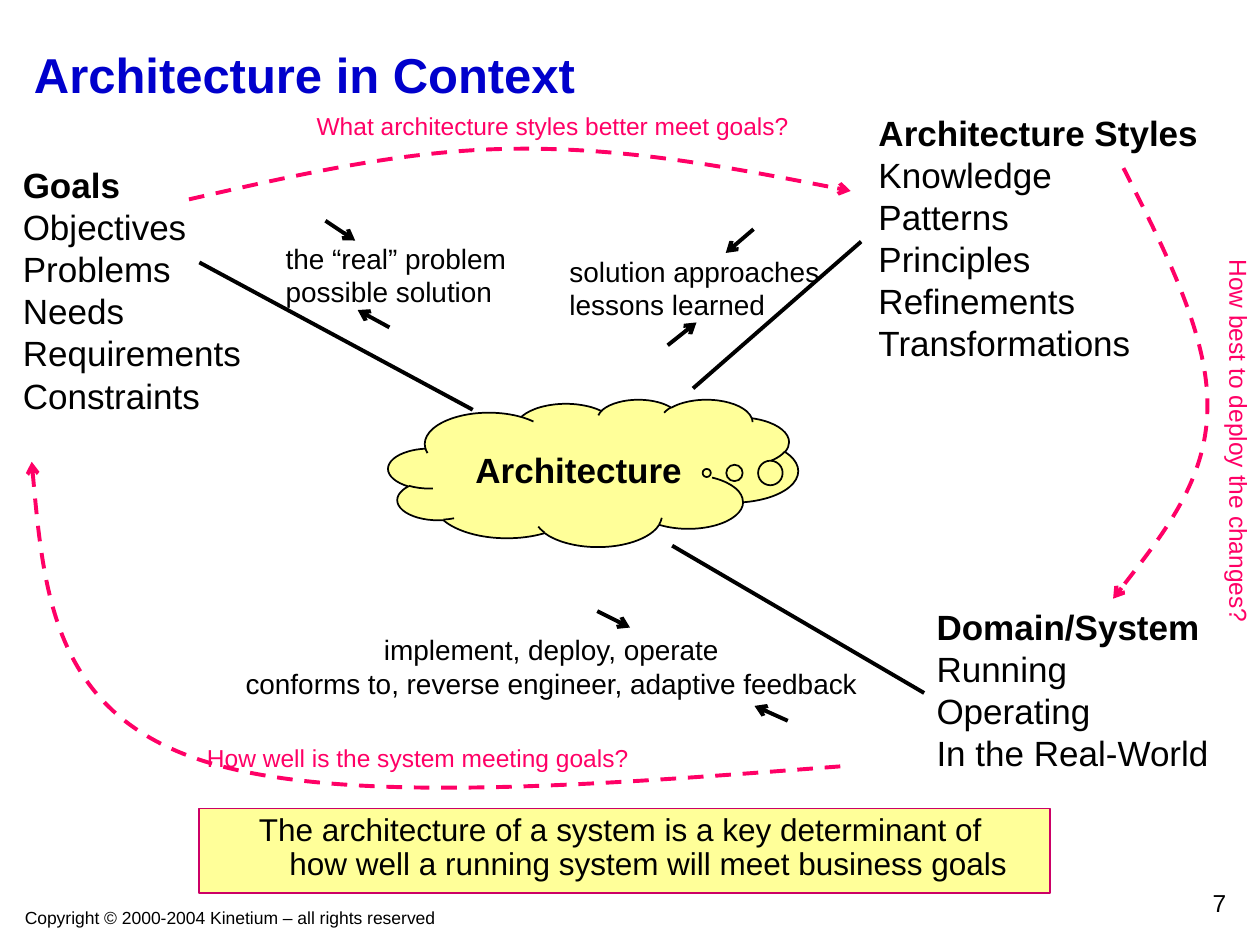
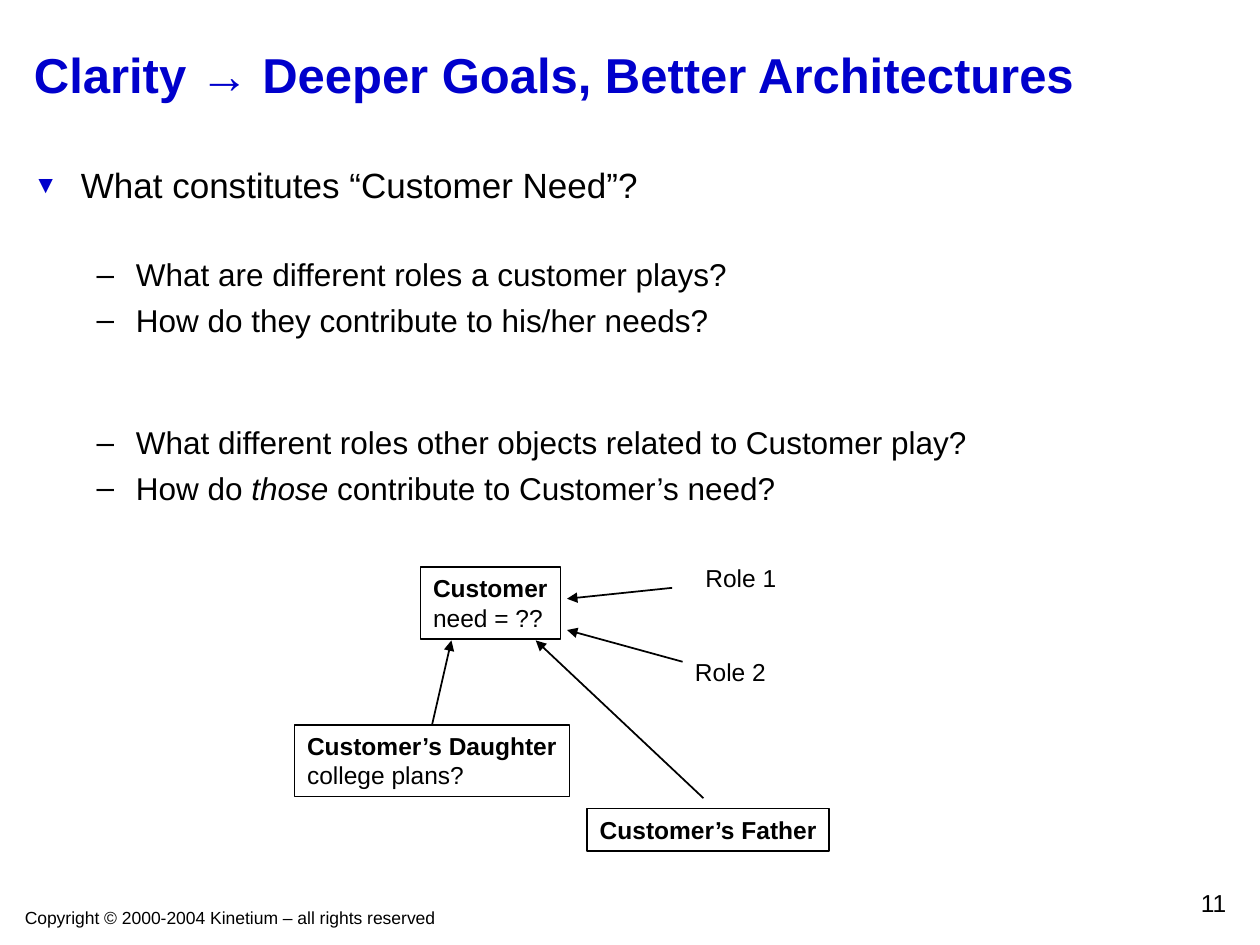
from dataclasses import dataclass
from typing import Optional

from lxml.etree import SubElement
from pptx import Presentation
from pptx.dml.color import RGBColor
from pptx.enum.dml import MSO_LINE_DASH_STYLE as Dash
from pptx.enum.shapes import MSO_CONNECTOR as ConnectorType, MSO_SHAPE as ShapeType
from pptx.enum.text import MSO_ANCHOR as Anchor, MSO_AUTO_SIZE as AutoSize, PP_ALIGN as Align
from pptx.oxml.ns import qn
from pptx.util import Cm, Pt

FONT = "Arial"
COLORS = {
    "title": "0000CC",
    "text": "000000",
    "question": "FF0066",
    "highlight": "FFFF99",
    "banner_edge": "CC0066",
}
COPYRIGHT = "Copyright © 2000-2004 Kinetium – all rights reserved"
TITLE_ONLY = 5

Point = tuple[float, float]


@dataclass(frozen=True)
class Box:
    left: float
    top: float
    width: float
    height: float

    def lengths(self) -> tuple:
        return Cm(self.left), Cm(self.top), Cm(self.width), Cm(self.height)


@dataclass(frozen=True)
class Label:
    lines: tuple[str, ...]
    box: Box
    size: float = 14
    bold_first: bool = False
    align: Align = Align.LEFT
    color: str = "text"
    rotation: float = 0
    framed: bool = False


@dataclass(frozen=True)
class Line:
    start: Point
    end: Point
    width: float = 2.25
    head: Optional[str] = None


@dataclass(frozen=True)
class Bullet:
    text: str
    level: int = 1
    space: float = 4.5
    italic: str = ""


@dataclass(frozen=True)
class BulletStyle:
    char: str
    color: str
    percent: int
    margin: float
    hanging: float
    size: float


BULLET_STYLES = (
    BulletStyle("▼", "title", 70, 0.95, 0.95, 20),
    BulletStyle("–", "text", 100, 2.06, 0.79, 18),
)

TITLE_BOX = Box(0.43, 0.43, 24.56, 2.11)
FOOTER_BOX = Box(0.25, 18.16, 13.21, 0.69)
NUMBER_BOX = Box(19.69, 17.78, 5.28, 0.84)
CLOUD_BOX = Box(7.83, 8.05, 8.26, 2.97)
BANNER_BOX = Box(4.02, 16.3, 17.15, 1.7)
BODY_BOX = Box(0.43, 3.18, 24.56, 14.17)

CONTEXT_LABELS = (
    Label(("Goals", "Objectives", "Problems", "Needs", "Requirements", "Constraints"),
          Box(0.21, 3.18, 4.95, 5.33), 20, bold_first=True),
    Label(("Architecture Styles", "Knowledge", "Patterns", "Principles", "Refinements",
           "Transformations"), Box(17.46, 2.12, 7.02, 5.33), 20, bold_first=True),
    Label(("Domain/System", "Running", "Operating", "In the Real-World"),
          Box(18.63, 12.08, 6.05, 3.66), 20, bold_first=True),
    Label(("the “real” problem", "possible solution"), Box(5.51, 4.74, 5, 1.63), 16),
    Label(("solution approaches", "lessons learned"), Box(11.23, 5, 5.6, 1.63), 16),
    Label(("implement, deploy, operate", "conforms to, reverse engineer, adaptive feedback"),
          Box(4.66, 12.63, 12.91, 1.63), 16, align=Align.CENTER),
    Label(("How well is the system meeting goals?",), Box(3.89, 14.86, 9.07, 0.86),
          align=Align.CENTER, color="question"),
    Label(("What architecture styles better meet goals?",), Box(6.1, 2.11, 10.09, 0.86),
          align=Align.CENTER, color="question"),
    Label(("How best to deploy the changes?",), Box(21.01, 8.46, 7.92, 0.86),
          align=Align.CENTER, color="question", rotation=90),
)

CONTEXT_LINES = (
    Line((4.02, 5.29), (9.53, 8.26)),
    Line((17.36, 4.87), (13.97, 7.83)),
    Line((13.55, 11), (18.63, 13.97)),
    Line((6.56, 4.45), (7.16, 4.85), head="arrow"),
    Line((7.85, 6.6), (7.21, 6.25), head="arrow"),
    Line((15.19, 4.62), (14.63, 5.1), head="arrow"),
    Line((13.46, 6.96), (14.04, 6.5), head="arrow"),
    Line((12.04, 12.32), (12.7, 12.65), head="arrow"),
    Line((15.88, 14.53), (15.21, 14.23), head="arrow"),
)

FEEDBACK_CURVES: tuple[tuple[Point, ...], ...] = (
    ((16.94, 15.45), (11.73, 15.85), (6.53, 16.26), (3.81, 15.24),
     (1.09, 14.22), (0.86, 11.77), (0.64, 9.31)),
    ((3.81, 4.02), (5.97, 3.53), (8.15, 3.02), (10.36, 3),
     (12.6, 2.97), (14.86, 3.4), (17.15, 3.85)),
    ((22.65, 3.39), (23.52, 5.11), (24.38, 6.81), (24.34, 8.26),
     (24.31, 9.7), (23.37, 10.87), (22.44, 12.07)),
)

CLARITY_BULLETS = (
    Bullet("What constitutes “Customer Need”?", level=0, space=0),
    Bullet("What are different roles a customer plays?", space=28.3),
    Bullet("How do they contribute to his/her needs?"),
    Bullet("What different roles other objects related to Customer play?", space=48.2),
    Bullet("How do those contribute to Customer’s need?", italic="those"),
)

DAUGHTER = Label(("Customer’s Daughter", "college plans?"), Box(5.94, 14.61, 5.54, 1.45),
                 bold_first=True, framed=True)
CLARITY_LABELS = (
    Label(("Customer", "need = ??"), Box(8.48, 11.43, 2.82, 1.45), bold_first=True, framed=True),
    Label(("Customer’s Father",), Box(11.84, 16.3, 4.88, 0.86), bold_first=True, framed=True),
    Label(("Role 1",), Box(13.97, 11.23, 2, 0.86)),
    Label(("Role 2",), Box(13.76, 13.13, 2, 0.86)),
)
DAUGHTER_LINE = Line((8.69, 14.61), (9.1, 12.91), 1, "triangle")
CLARITY_LINES = (
    Line((13.55, 11.85), (11.43, 12.07), 1, "triangle"),
    Line((13.76, 13.34), (11.43, 12.7), 1, "triangle"),
    Line((14.18, 16.09), (10.8, 12.91), 1, "triangle"),
)


def rgb(name: str) -> RGBColor:
    return RGBColor.from_string(COLORS[name])


def write(paragraph, text: str, *, size: float, color: str = "text", bold: bool = False,
          italic: str = "", align: Align = Align.LEFT) -> None:
    paragraph.alignment = align
    pieces = text.partition(italic) if italic else (text,)
    for piece in pieces:
        for index, line in enumerate(piece.split("\n")):
            if index:
                paragraph.add_line_break()
            run = paragraph.add_run()
            run.text = line
            font = run.font
            font.name, font.size, font.bold = FONT, Pt(size), bold
            font.italic = bool(italic) and piece == italic
            font.color.rgb = rgb(color)


def next_paragraph(frame, index: int):
    return frame.add_paragraph() if index else frame.paragraphs[0]


def add_textbox(slide, box: Box):
    textbox = slide.shapes.add_textbox(*box.lengths())
    textbox.text_frame.word_wrap = True
    return textbox


def style_line(shape, color: str, width: float, head: Optional[str] = None) -> None:
    shape.line.color.rgb = rgb(color)
    shape.line.width = Pt(width)
    if head:
        line = shape._element.spPr.find(qn("a:ln"))
        SubElement(line, qn("a:tailEnd"), type=head)


def add_panel(slide, kind: ShapeType, box: Box, *, fill: Optional[str] = None,
              edge: str = "text"):
    shape = slide.shapes.add_shape(kind, *box.lengths())
    shape.shadow.inherit = False
    if fill:
        shape.fill.solid()
        shape.fill.fore_color.rgb = rgb(fill)
    else:
        shape.fill.background()
    style_line(shape, edge, 1)
    return shape


def add_label(slide, label: Label):
    if label.framed:
        shape = add_panel(slide, ShapeType.RECTANGLE, label.box)
    else:
        shape = add_textbox(slide, label.box)
    shape.rotation = label.rotation
    frame = shape.text_frame
    frame.word_wrap = False
    frame.auto_size = AutoSize.SHAPE_TO_FIT_TEXT
    frame.vertical_anchor = Anchor.TOP
    for index, line in enumerate(label.lines):
        write(next_paragraph(frame, index), line, size=label.size, color=label.color,
              bold=label.bold_first and index == 0, align=label.align)
    return shape


def add_line(slide, line: Line):
    ends = [Cm(value) for value in line.start + line.end]
    connector = slide.shapes.add_connector(ConnectorType.STRAIGHT, *ends)
    style_line(connector, "text", line.width, line.head)
    SubElement(connector._element.spPr, qn("a:effectLst"))
    return connector


def add_feedback_curve(slide, points: tuple[Point, ...]) -> None:
    start, *controls = [(Cm(x), Cm(y)) for x, y in points]
    builder = slide.shapes.build_freeform(*start)
    builder.add_line_segments(controls, close=False)
    curve = builder.convert_to_shape()
    segments = list(curve._element.spPr.iter(qn("a:lnTo")))
    outline = segments[0].getparent()
    for first in range(0, len(segments), 3):
        bezier = SubElement(outline, qn("a:cubicBezTo"))
        for segment in segments[first:first + 3]:
            bezier.append(segment[0])
            outline.remove(segment)
    curve.shadow.inherit = False
    curve.fill.background()
    curve.line.dash_style = Dash.DASH
    style_line(curve, "question", 2.25, "arrow")


def set_indent(paragraph, margin: float, hanging: float):
    properties = paragraph._p.get_or_add_pPr()
    properties.set("marL", str(Cm(margin)))
    properties.set("indent", str(-Cm(hanging)))
    return properties


def add_bullets(slide, bullets: tuple[Bullet, ...]) -> None:
    frame = add_textbox(slide, BODY_BOX).text_frame
    for index, bullet in enumerate(bullets):
        style = BULLET_STYLES[bullet.level]
        paragraph = next_paragraph(frame, index)
        properties = set_indent(paragraph, style.margin, style.hanging)
        bullet_color = SubElement(properties, qn("a:buClr"))
        SubElement(bullet_color, qn("a:srgbClr"), val=COLORS[style.color])
        SubElement(properties, qn("a:buSzPct"), val=str(style.percent * 1000))
        SubElement(properties, qn("a:buFont"), typeface=FONT)
        SubElement(properties, qn("a:buChar"), char=style.char)
        paragraph.level = bullet.level
        paragraph.space_before = Pt(bullet.space)
        write(paragraph, bullet.text, size=style.size, italic=bullet.italic)


def add_slide(presentation, title: str, number: int):
    slide = presentation.slides.add_slide(presentation.slide_layouts[TITLE_ONLY])
    heading = slide.shapes.title
    heading.left, heading.top, heading.width, heading.height = TITLE_BOX.lengths()
    frame = heading.text_frame
    frame.vertical_anchor = Anchor.MIDDLE
    frame.auto_size = AutoSize.NONE
    write(frame.paragraphs[0], title, size=28, color="title", bold=True)
    footer = add_textbox(slide, FOOTER_BOX)
    write(footer.text_frame.paragraphs[0], COPYRIGHT, size=10)
    page = add_textbox(slide, NUMBER_BOX)
    write(page.text_frame.paragraphs[0], str(number), size=14, align=Align.RIGHT)
    return slide


def build_context(presentation) -> None:
    slide = add_slide(presentation, "Architecture in Context", 7)
    cloud = add_panel(slide, ShapeType.CLOUD_CALLOUT, CLOUD_BOX, fill="highlight")
    cloud.adjustments[0], cloud.adjustments[1] = 0.277, 0
    cloud.text_frame.vertical_anchor = Anchor.MIDDLE
    write(cloud.text_frame.paragraphs[0], "Architecture", size=20, bold=True, align=Align.CENTER)
    banner = add_panel(slide, ShapeType.RECTANGLE, BANNER_BOX, fill="highlight",
                       edge="banner_edge")
    banner.text_frame.vertical_anchor = Anchor.TOP
    paragraph = banner.text_frame.paragraphs[0]
    set_indent(paragraph, 0.95, 0.95)
    paragraph.line_spacing = 0.9
    write(paragraph, "The architecture of a system is a key determinant of \n"
          "how well a running system will meet business goals", size=18, align=Align.CENTER)
    for label in CONTEXT_LABELS:
        add_label(slide, label)
    for line in CONTEXT_LINES:
        add_line(slide, line)
    for points in FEEDBACK_CURVES:
        add_feedback_curve(slide, points)


def build_clarity(presentation) -> None:
    slide = add_slide(presentation, "Clarity → Deeper Goals, Better Architectures", 11)
    add_bullets(slide, CLARITY_BULLETS)
    for label in CLARITY_LABELS:
        add_label(slide, label)
    for line in CLARITY_LINES:
        add_line(slide, line)
    daughter = add_label(slide, DAUGHTER)
    add_line(slide, DAUGHTER_LINE).begin_connect(daughter, 0)


def main() -> None:
    presentation = Presentation()
    presentation.slide_width, presentation.slide_height = Cm(25.4), Cm(19.05)
    build_context(presentation)
    build_clarity(presentation)
    presentation.save("out.pptx")


if __name__ == "__main__":
    main()
